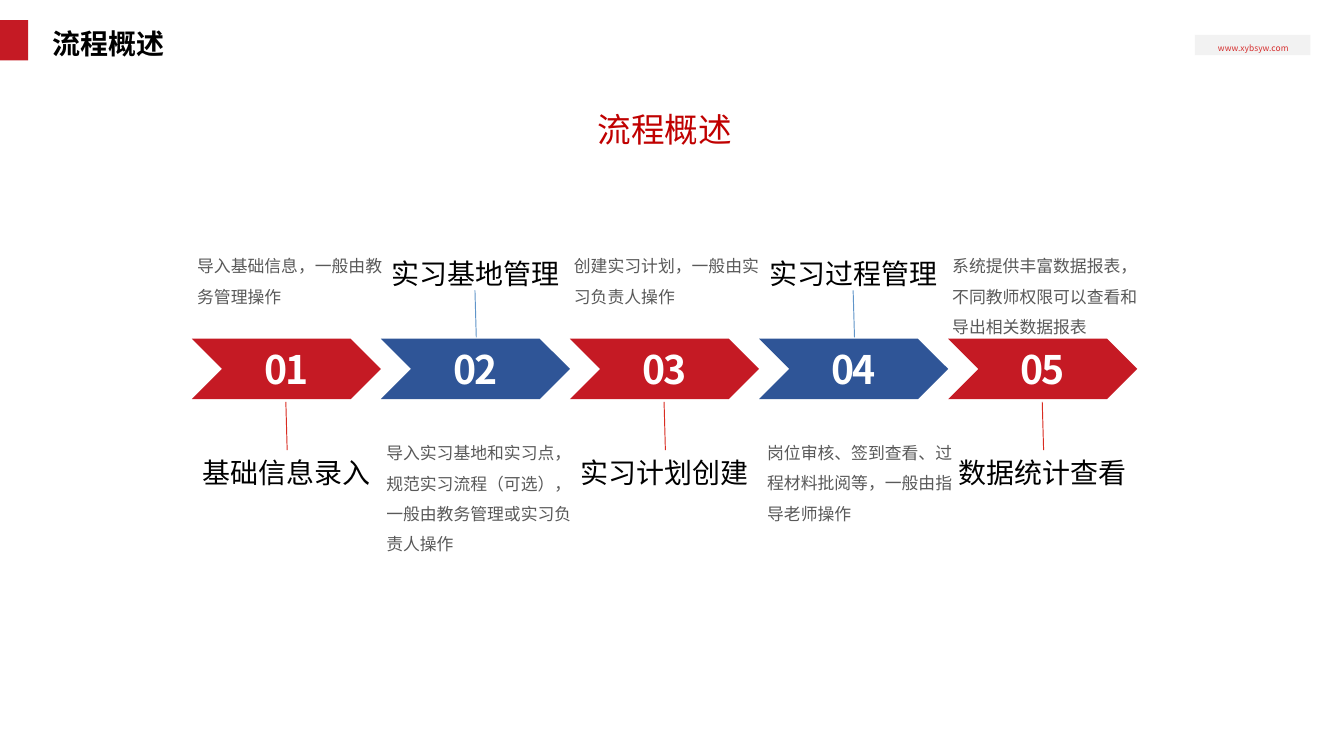
from lxml.etree import SubElement
from pptx import Presentation
from pptx.dml.color import RGBColor
from pptx.enum.shapes import MSO_CONNECTOR, MSO_SHAPE
from pptx.enum.text import MSO_AUTO_SIZE, PP_ALIGN
from pptx.oxml.ns import qn
from pptx.util import Inches, Pt

RED = RGBColor(0xC5, 0x1A, 0x24)
BLUE = RGBColor(0x2F, 0x55, 0x97)
DEEP = RGBColor(0xC0, 0x00, 0x00)
ROSE = RGBColor(0xD6, 0x2F, 0x2F)
RED_LINE = RGBColor(0xD9, 0x2C, 0x21)
BLUE_LINE = RGBColor(0x60, 0x95, 0xC9)
PALE = RGBColor(0xF2, 0xF2, 0xF2)
GREY = RGBColor(0x59, 0x59, 0x59)
BLACK = RGBColor(0, 0, 0)
WHITE = RGBColor(0xFF, 0xFF, 0xFF)


def write(frame, text, size=15, color=BLACK, bold=False, align=PP_ALIGN.LEFT,
          lead=None, track=None, font="Noto Sans CJK SC"):
    para = frame.paragraphs[0]
    para.alignment = align
    if lead:
        para.line_spacing = lead
    run = para.add_run()
    run.text = text
    run.font.size, run.font.bold, run.font.name = Pt(size), bold, font
    run.font.color.rgb = color
    props = run.font._element
    SubElement(props, qn("a:ea")).set("typeface", font)
    if track:
        props.set("spc", str(track))


class Board:
    """Style and current slide; lengths count grid cells of a tenth of an inch."""
    cell = 0.1

    def __init__(self, deck):
        self.slide = deck.slides.add_slide(deck.slide_layouts[6])

    def span(self, *cells):
        return [Inches(n * self.cell) for n in cells]

    def block(self, kind, box, color):
        shape = self.slide.shapes.add_shape(kind, *self.span(*box))
        shape.shadow.inherit = False
        shape.fill.solid()
        shape.fill.fore_color.rgb = color
        shape.line.fill.background()

    def label(self, text, box, pad=(0.5, 0.4), **look):
        frame = self.slide.shapes.add_textbox(*self.span(*box)).text_frame
        frame.word_wrap = True
        frame.auto_size = MSO_AUTO_SIZE.SHAPE_TO_FIT_TEXT
        frame.margin_left = frame.margin_right = self.span(pad[0])[0]
        frame.margin_top = frame.margin_bottom = self.span(pad[1])[0]
        write(frame, text, **look)

    def link(self, ends, color):
        line = self.slide.shapes.add_connector(MSO_CONNECTOR.STRAIGHT, *self.span(*ends))
        line.line.color.rgb = color
        line.line.width = Pt(0.5)
        SubElement(line._element.spPr, qn("a:effectLst"))


# Title, note, note's left offset from its arrow, note width and height
STEPS = [
    ("基础信息录入", "导入基础信息，一般由教务管理操作", -0.1, 15.5, 5.3),
    ("实习基地管理", "导入实习基地和实习点，规范实习流程（可选），一般由教务管理或实习负责人操作",
     -0.1, 15.9, 9.8),
    ("实习计划创建", "创建实习计划，一般由实习负责人操作", -0.2, 15.6, 5.3),
    ("实习过程管理", "岗位审核、签到查看、过程材料批阅等，一般由指导老师操作", 0.1, 15.2, 7.6),
    ("数据统计查看", "系统提供丰富数据报表，不同教师权限可以查看和导出相关数据报表",
     -0.2, 15.8, 7.6),
]
START, PITCH = 14.27, 14.07
MID = PP_ALIGN.CENTER

deck = Presentation()
deck.slide_width = Inches(10)
deck.slide_height = deck.slide_width * 9 // 16
board = Board(deck)

# Header
board.block(MSO_SHAPE.RECTANGLE, (88.9, 2.6, 8.6, 1.5), PALE)
board.label("www.xybsyw.com", (90, 2.7, 6.5, 1.8), pad=(0.5, 0.5),
            size=4.5, color=ROSE, align=MID)
board.label("流程概述", (3.4, 1.5, 29.3, 3.5), pad=(0.5, 0.5), bold=True)
board.label("流程概述", (30.4, 7.7, 38.1, 3.8), size=18, color=DEEP, align=MID)
board.block(MSO_SHAPE.RECTANGLE, (0, 1.5, 2.1, 3), RED)

# Arrows: odd steps have the title below, even steps above
for i, (title, note, shift, wide, high) in enumerate(STEPS):
    left = START + i * PITCH
    if i % 2 == 0:
        fill, stroke, head, body, ends = RED, RED_LINE, 33.5, 17.9, (29.9, 33.5)
    else:
        fill, stroke, head, body, ends = BLUE, BLUE_LINE, 18.7, 31.8, (21.6, 25.1)
    board.block(MSO_SHAPE.CHEVRON, (left, 25.2, PITCH, 4.5), fill)
    board.label(f"{i + 1:02}", (left + 5.3, 25.7, 3.5, 3.5), pad=(0, 0),
                size=21, color=WHITE, bold=True, align=MID, track=-110)
    board.label(title, (left - 0.4, head, 14.9, 3.3), align=MID)
    board.label(note, (left + shift, body, wide, high), size=9, color=GREY, lead=1.5)
    board.link((left + 7, ends[0], left + 7.1, ends[1]), stroke)

deck.save("out.pptx")
